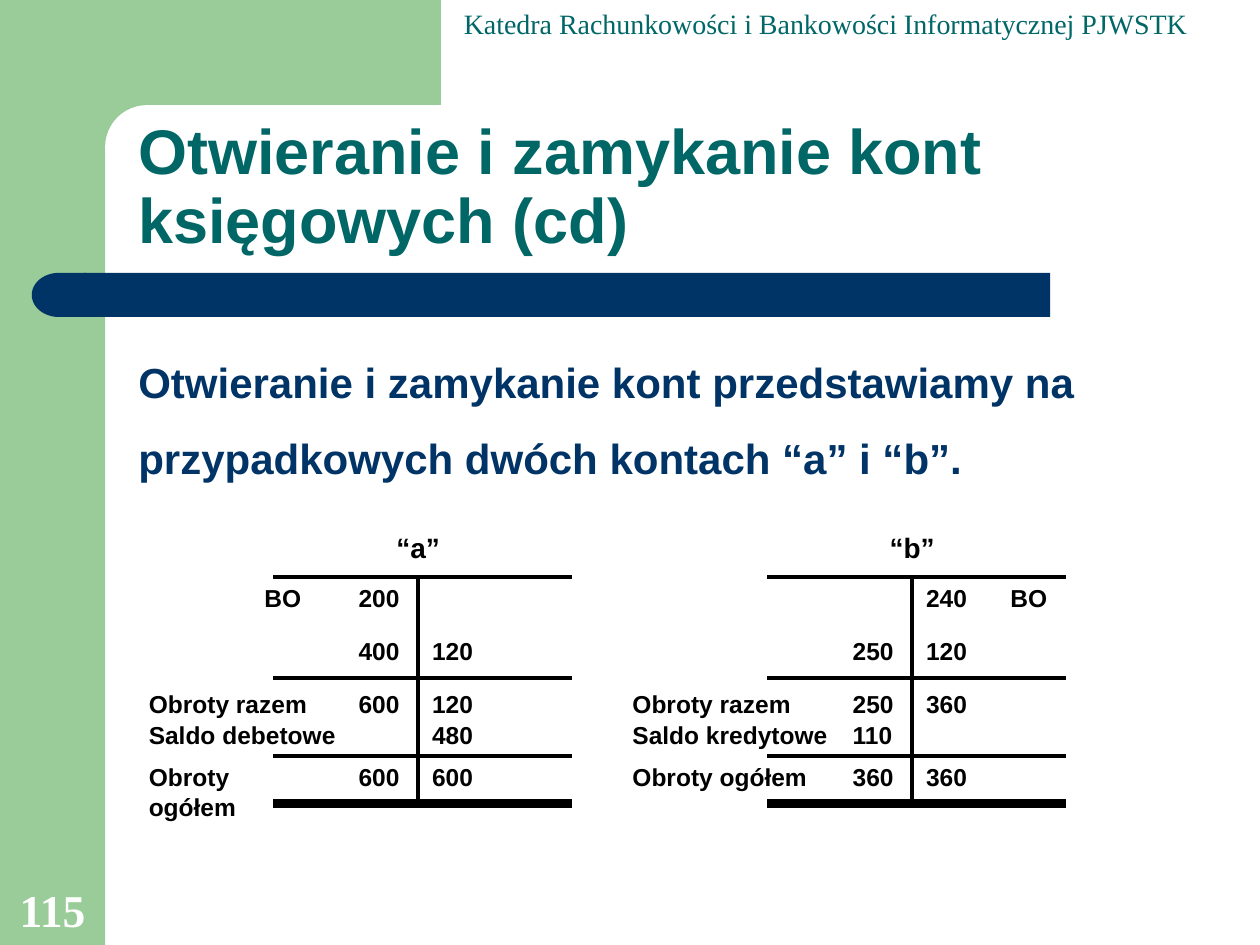
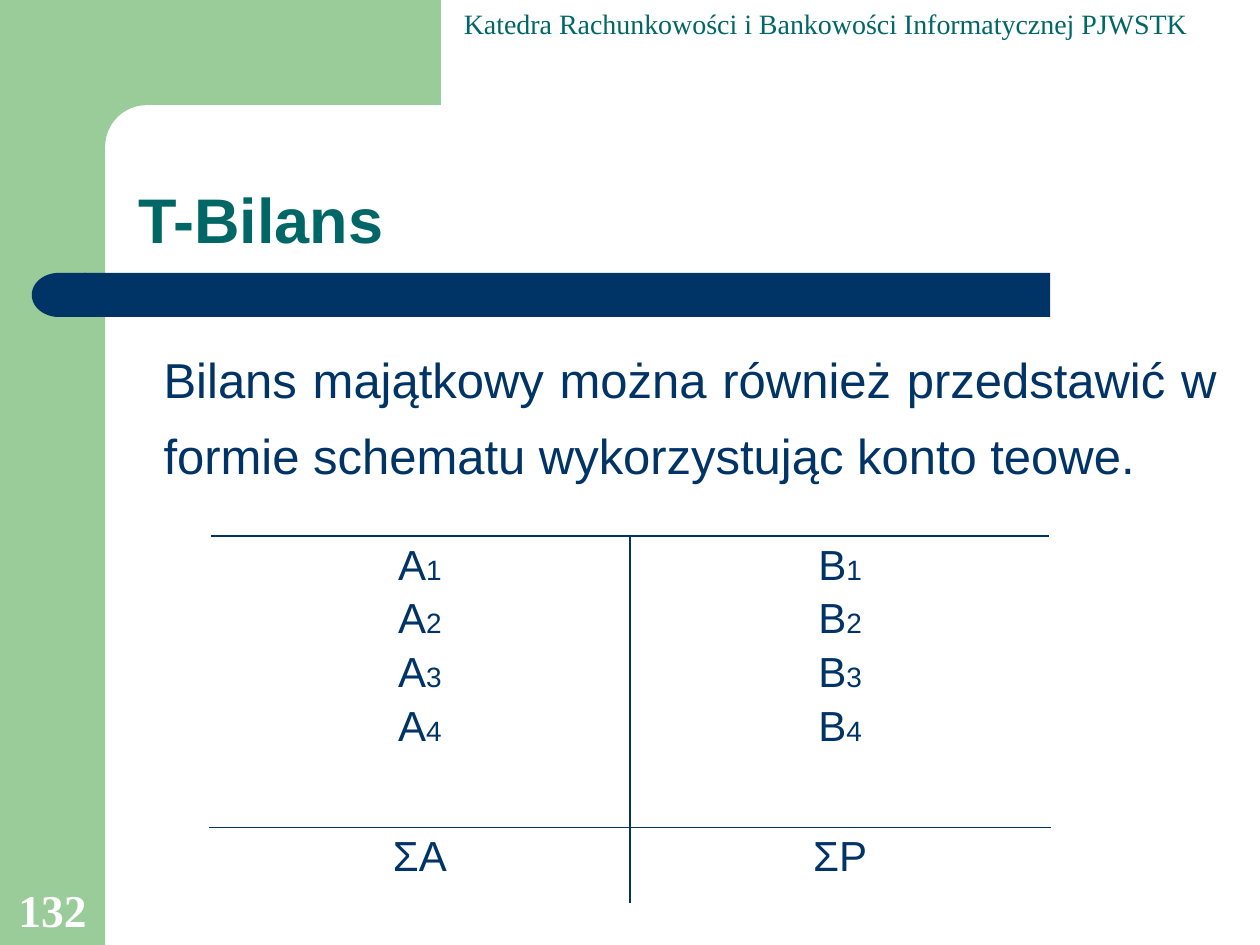
import pptx
import pptx.dml.color
import pptx.enum.shapes
import pptx.enum.text
import pptx.oxml
import pptx.oxml.ns
import pptx.util
from lxml import etree

Cm = pptx.util.Cm
Pt = pptx.util.Pt
Form = pptx.enum.shapes.MSO_SHAPE
Align = pptx.enum.text.PP_ALIGN
Anchor = pptx.enum.text.MSO_ANCHOR
qn = pptx.oxml.ns.qn

GREEN, NAVY, TEAL = "99CC99", "003366", "006666"
BLACK, WHITE = "000000", "FFFFFF"
SANS, SERIF = "Arial", "Times New Roman"
HEADER = "Katedra Rachunkowości i Bankowości Informatycznej PJWSTK"
ROWS = (11.63, 12.7, 13.77, 14.4, 15.24)


def hue(code):
    return pptx.dml.color.RGBColor.from_string(code)


class Deck:
    def __init__(self):
        self.prs = pptx.Presentation()
        self.prs.slide_width, self.prs.slide_height = Cm(25.4), Cm(19.05)
        self.slide = None

    def start(self, title, number):
        self.slide = self.prs.slides.add_slide(self.prs.slide_layouts[6])
        self.shape(Form.RECTANGLE, 0, 0, 2.12, 19.05, GREEN)
        self.shape(Form.RECTANGLE, 1.9, 0, 6.99, 2.96, GREEN)
        corner = self.shape(Form.ROUNDED_RECTANGLE, 2.12, 2.12, 14.18, 1.69, WHITE)
        corner.adjustments[0] = 0.5
        self.shape(Form.RECTANGLE, 1.69, 5.5, 19.48, 0.89, NAVY)
        cap = self.shape(Form.FLOWCHART_DELAY, 0.64, 5.5, 1.09, 0.89, NAVY)
        cap.rotation = 180
        self.text(9.1, 0, 15.45, 0.93, HEADER, 16, TEAL, SERIF)
        self.text(2.54, 2.12, 22.23, 3.18, title, 36, TEAL, bold=True,
                  anchor=Anchor.BOTTOM, lead=0.9)
        self.text(0, 17.63, 2.12, 1.37, number, 26, WHITE, SERIF, True,
                  Align.CENTER, Anchor.BOTTOM)

    def shape(self, form, x, y, w, h, fill):
        item = self.slide.shapes.add_shape(form, Cm(x), Cm(y), Cm(w), Cm(h))
        item.shadow.inherit = False
        item.fill.solid()
        item.fill.fore_color.rgb = hue(fill)
        item.line.fill.background()
        return item

    def run(self, para, words, size, color, face=SANS, bold=False):
        run = para.add_run()
        run.text = words
        font = run.font
        font.size, font.name, font.bold = Pt(size), face, bold
        font.color.rgb = hue(color)

    def text(self, x, y, w, h, words, size, color, face=SANS, bold=False,
             align=Align.LEFT, anchor=Anchor.TOP, lead=1.0):
        box = self.slide.shapes.add_textbox(Cm(x), Cm(y), Cm(w), Cm(h))
        frame = box.text_frame
        frame.word_wrap = True
        frame.vertical_anchor = anchor
        para = frame.paragraphs[0]
        para.alignment, para.line_spacing = align, lead
        self.run(para, words, size, color, face, bold)
        return frame

    def line(self, x1, y1, x2, y2, width):
        line = self.slide.shapes.add_connector(
            pptx.enum.shapes.MSO_CONNECTOR.STRAIGHT, Cm(x1), Cm(y1), Cm(x2), Cm(y2))
        line.line.color.rgb = hue(BLACK)
        line.line.width = Pt(width)
        etree.SubElement(line.element.spPr, qn("a:effectLst"))

    def entry(self, x, y, words, width=1.48):
        self.text(x, y, width, 0.86, words, 14, BLACK, bold=True)

    def account(self, name, stem, left, opening, debit, credit, labels):
        self.text(stem - 1.5, 10.58, 3, 0.93, name, 16, BLACK, bold=True,
                  align=Align.CENTER)
        for y, width in ((11.63, 2), (13.67, 2), (15.24, 2), (16.2, 5)):
            self.line(stem - 2.92, y, stem + 3.1, y, width)
        self.line(stem, 11.63, stem, 16.2, 2)
        self.entry(stem + opening, ROWS[0], "BO")
        for side, sums in ((-1.45, debit), (0.03, credit)):
            for y, amount in zip(ROWS, sums):
                if amount:
                    self.entry(stem + side, y, amount)
        for y, (words, width) in zip(ROWS[2:], labels):
            self.entry(left, y, words, width)

    def edge(self, cell, sides):
        props = cell._tc.get_or_add_tcPr()
        for side, width in sides.items():
            line = etree.SubElement(props, qn(f"a:ln{side}"), w=str(Pt(width)))
            fill = etree.SubElement(line, qn("a:solidFill"))
            etree.SubElement(fill, qn("a:srgbClr"), val=NAVY)

    def table(self, x, y, widths, heights, rows):
        frame = self.slide.shapes.add_table(
            len(rows), len(widths), Cm(x), Cm(y), Cm(sum(widths)), Cm(sum(heights)))
        grid = frame.table
        grid.first_row = grid.horz_banding = False
        for col, width in zip(grid.columns, widths):
            col.width = Cm(width)
        for row, height in zip(grid.rows, heights):
            row.height = Cm(height)
        for r, row in enumerate(rows):
            for c, paras in enumerate(row):
                cell = grid.cell(r, c)
                sides = {"R" if c == 0 else "L": 1.08}
                sides.update({"T": 1.08, "B": 0.45} if r == 0 else {"T": 0.45})
                self.edge(cell, sides)
                cell.fill.background()
                for i, (sign, index) in enumerate(paras):
                    frame = cell.text_frame
                    para = frame.add_paragraph() if i else frame.paragraphs[0]
                    para.alignment = Align.CENTER
                    if i:
                        para.space_before = Pt(4)
                    self.run(para, sign, 24, NAVY)
                    if index:
                        self.run(para, index, 16, NAVY)


def main():
    deck = Deck()

    deck.start("Otwieranie i zamykanie kont księgowych (cd)", "115")
    deck.text(2.54, 6.56, 22.23, 3.39,
              "Otwieranie i zamykanie kont przedstawiamy na przypadkowych "
              "dwóch kontach “a” i “b”.", 24, NAVY, bold=True, lead=1.5)
    deck.account("“a”", 8.43, 2.75, -3.35,
                 ("200", "400", "600", "", "600"),
                 ("", "120", "120", "480", "600"),
                 (("Obroty razem", 3.81), ("Saldo debetowe", 4.66),
                  ("Obroty ogółem", 3.81)))
    deck.account("“b”", 18.39, 12.5, 1.73,
                 ("", "250", "250", "110", "360"),
                 ("240", "120", "360", "", "360"),
                 (("Obroty razem", 3.81), ("Saldo kredytowe", 4.66),
                  ("Obroty ogółem", 4.3)))

    deck.start("T-Bilans", "132")
    body = deck.text(2.54, 6.56, 22.23, 10.37,
                     "Bilans majątkowy można również przedstawić w formie "
                     "schematu wykorzystując konto teowe.",
                     28, NAVY, align=Align.JUSTIFY, lead=1.3)
    body.margin_left = Cm(0.76)
    items = [[(sign, str(n)) for n in range(1, 5)] for sign in "AB"]
    sums = [[("ΣA", "")], [("ΣP", "")]]
    deck.table(4.23, 10.8, (8.47, 8.47), (5.87, 1.55), (items, sums))

    deck.prs.save("out.pptx")


if __name__ == "__main__":
    main()
